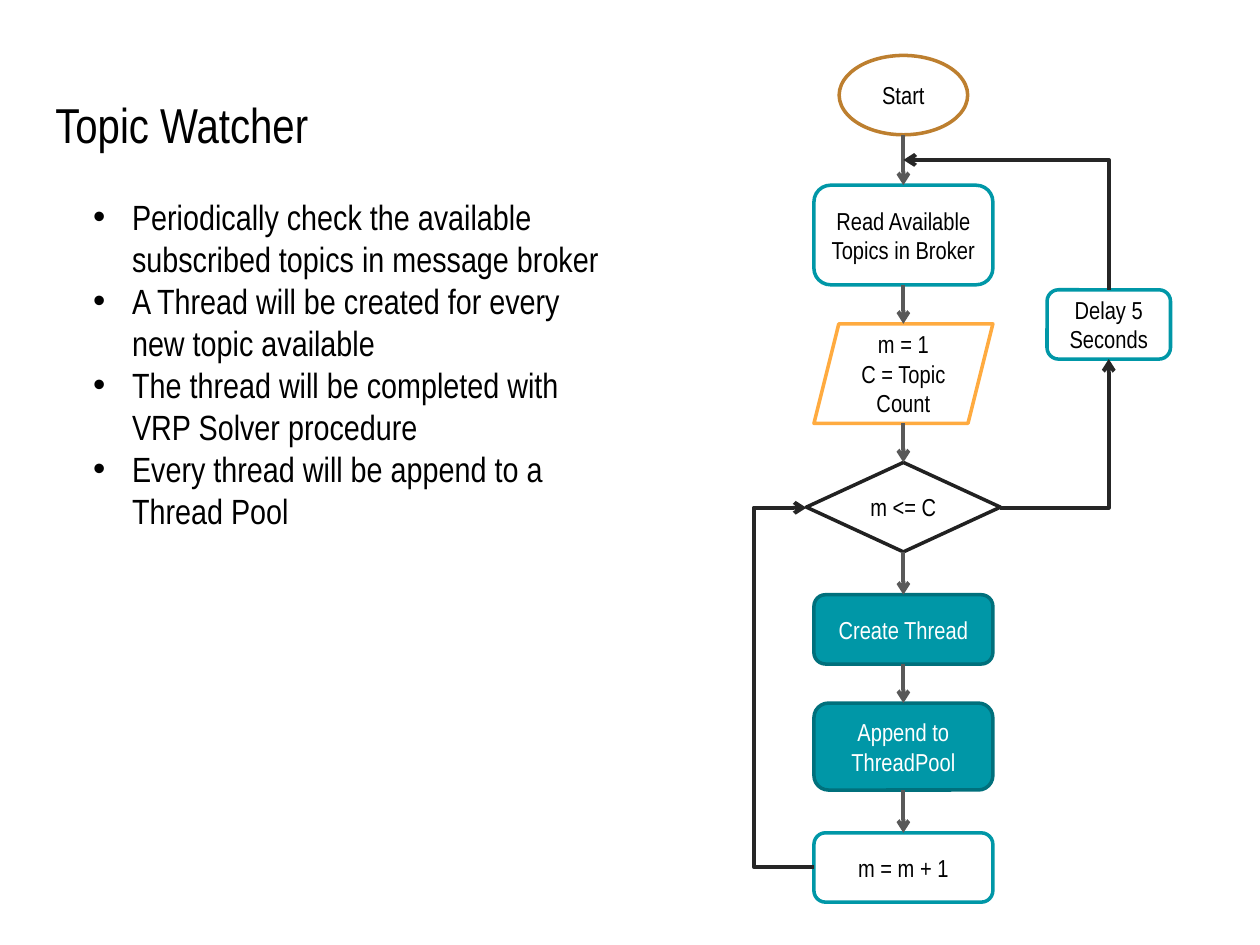
from dataclasses import dataclass

from lxml import etree
from pptx import Presentation
from pptx.dml.color import RGBColor
from pptx.enum.shapes import MSO_CONNECTOR, MSO_SHAPE
from pptx.enum.text import MSO_ANCHOR, PP_ALIGN
from pptx.oxml.ns import qn
from pptx.util import Inches, Pt

OVAL = MSO_SHAPE.OVAL
ROUNDED = MSO_SHAPE.ROUNDED_RECTANGLE
PARALLELOGRAM = MSO_SHAPE.PARALLELOGRAM
DECISION = MSO_SHAPE.FLOWCHART_DECISION
STRAIGHT = MSO_CONNECTOR.STRAIGHT
ELBOW = MSO_CONNECTOR.ELBOW
CENTER = PP_ALIGN.CENTER
LEFT = PP_ALIGN.LEFT
MIDDLE = MSO_ANCHOR.MIDDLE
TOP = MSO_ANCHOR.TOP

FONT = "Arial Narrow"
COLORS = {
    "black": "000000",
    "white": "FFFFFF",
    "teal": "0097A7",
    "deep_teal": "00707C",
    "bronze": "BD7F2F",
    "orange": "FFAB40",
    "ink": "212121",
    "flow": "595959",
    "loop": "262626",
}
AXIS = 7.17
INDENT = 0.31


@dataclass(frozen=True)
class Step:
    lines: tuple[str, ...]
    top: float
    height: float
    width: float = 1.42
    kind: int = ROUNDED
    fill: str | None = "white"
    border: str = "teal"
    ink: str = "black"
    center: float = AXIS


@dataclass(frozen=True)
class Loop:
    begin: tuple[float, float]
    end: tuple[float, float]
    preset: str
    rotation: int = 0
    bend: int | None = None


MAIN_FLOW = (
    Step(("Start",), 0.44, 0.63, 1.02, OVAL, None, "bronze"),
    Step(("Read Available Topics in Broker",), 1.47, 0.79),
    Step(("m = 1", "C = Topic Count"), 2.57, 0.79, kind=PARALLELOGRAM, border="orange"),
    Step(("m <= C",), 3.67, 0.71, 1.54, DECISION, border="ink"),
    Step(("Create Thread",), 4.72, 0.55, fill="teal", border="deep_teal", ink="white"),
    Step(("Append to ThreadPool",), 5.58, 0.69, fill="teal", border="deep_teal", ink="white"),
    Step(("m = m + 1",), 6.61, 0.55),
)
DELAY = Step(("Delay 5 Seconds",), 2.3, 0.55, 0.98, center=8.8)

LOOPS = (
    Loop((7.94, 4.03), (8.8, 2.85), "bentConnector2"),
    Loop((7.47, 2.6), (8.5, 0.97), "bentConnector2", 270),
    Loop((6.4, 4.03), (6.46, 6.88), "bentConnector3", 180, 800000),
)

DUTIES = (
    "Periodically check the available subscribed topics in message broker",
    "A Thread will be created for every new topic available",
    "The thread will be completed with VRP Solver procedure",
    "Every thread will be append to a Thread Pool",
)


def rgb(name: str) -> RGBColor:
    return RGBColor.from_string(COLORS[name])


def write(frame, lines, size: int, ink: str, align=LEFT, anchor=TOP, bulleted=False) -> None:
    frame.word_wrap = True
    frame.vertical_anchor = anchor
    for index, line in enumerate(lines):
        paragraph = frame.paragraphs[0] if index == 0 else frame.add_paragraph()
        paragraph.alignment = align
        if bulleted:
            properties = paragraph._p.get_or_add_pPr()
            properties.set("marL", str(Inches(INDENT)))
            properties.set("indent", str(-Inches(INDENT)))
            etree.SubElement(properties, qn("a:buFont")).set("typeface", "Arial")
            etree.SubElement(properties, qn("a:buChar")).set("char", "•")
        run = paragraph.add_run()
        run.text = line
        run.font.name = FONT
        run.font.size = Pt(size)
        run.font.color.rgb = rgb(ink)


def draw_step(slide, step: Step) -> None:
    box = slide.shapes.add_shape(
        step.kind, Inches(step.center - step.width / 2), Inches(step.top),
        Inches(step.width), Inches(step.height))
    box.shadow.inherit = False
    if step.fill:
        box.fill.solid()
        box.fill.fore_color.rgb = rgb(step.fill)
    else:
        box.fill.background()
    box.line.color.rgb = rgb(step.border)
    box.line.width = Pt(2)
    write(box.text_frame, step.lines, 14, step.ink, CENTER, MIDDLE)


def draw_arrow(slide, kind, begin, end, color: str):
    arrow = slide.shapes.add_connector(kind, *map(Inches, begin + end))
    arrow.line.color.rgb = rgb(color)
    arrow.line.width = Pt(2.25)
    etree.SubElement(arrow.line._get_or_add_ln(), qn("a:tailEnd")).set("type", "arrow")
    etree.SubElement(arrow._element.spPr, qn("a:effectLst"))
    return arrow


def draw_loop(slide, loop: Loop) -> None:
    properties = draw_arrow(slide, ELBOW, loop.begin, loop.end, "loop")._element.spPr
    geometry = properties.find(qn("a:prstGeom"))
    geometry.set("prst", loop.preset)
    if loop.rotation:
        properties.find(qn("a:xfrm")).set("rot", str(loop.rotation * 60000))
    if loop.bend is not None:
        guide = etree.SubElement(geometry.find(qn("a:avLst")), qn("a:gd"))
        guide.set("name", "adj1")
        guide.set("fmla", f"val {loop.bend}")


def main() -> None:
    deck = Presentation()
    deck.slide_width = Inches(10)
    deck.slide_height = Inches(7.5)
    slide = deck.slides.add_slide(deck.slide_layouts[6])

    title = slide.shapes.add_textbox(Inches(0.34), Inches(0.65), Inches(9.32), Inches(0.83))
    title.text_frame.margin_top = title.text_frame.margin_bottom = Inches(0.1)
    write(title.text_frame, ("Topic Watcher",), 28, "black")

    for step in MAIN_FLOW + (DELAY,):
        draw_step(slide, step)
    for above, below in zip(MAIN_FLOW, MAIN_FLOW[1:]):
        draw_arrow(slide, STRAIGHT, (AXIS, above.top + above.height), (AXIS, below.top), "flow")
    for loop in LOOPS:
        draw_loop(slide, loop)

    duties = slide.shapes.add_textbox(Inches(0.64), Inches(1.5), Inches(4.33), Inches(2.79))
    write(duties.text_frame, DUTIES, 20, "black", bulleted=True)

    deck.save("out.pptx")


if __name__ == "__main__":
    main()
